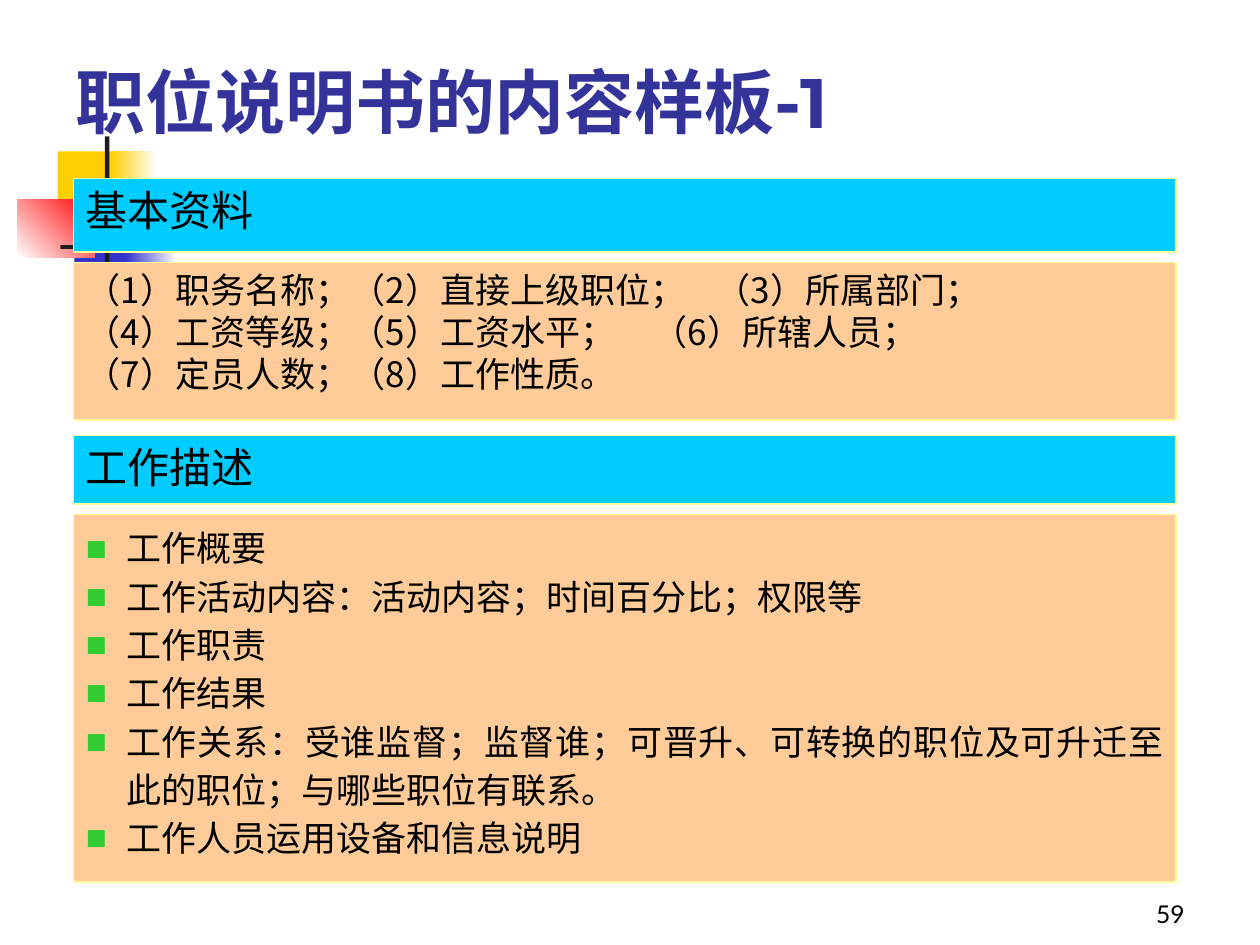
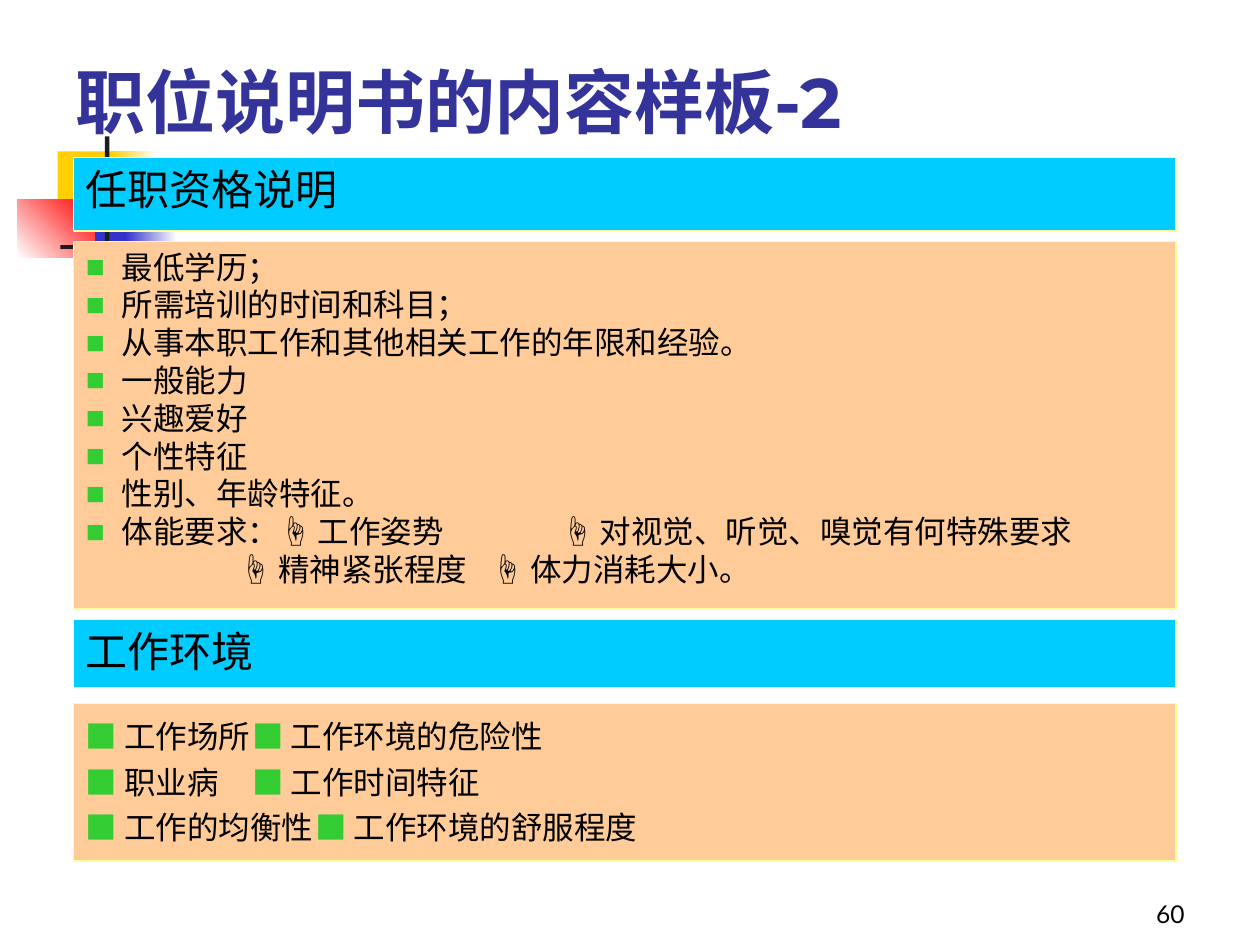
from lxml import etree
from pptx import Presentation
from pptx.dml.color import RGBColor
from pptx.enum import shapes, text
from pptx.oxml.ns import qn
from pptx.util import Pt

CJK, LATIN, TITLE, NUMBER = "Noto Sans CJK SC", "Arial", "Montserrat", "Lato"
BLACK = RGBColor(0x00, 0x00, 0x00)
WHITE = RGBColor(0xFF, 0xFF, 0xFF)
INDIGO = RGBColor(0x33, 0x33, 0x99)
CYAN = RGBColor(0x00, 0xCC, 0xFF)
PEACH = RGBColor(0xFF, 0xCC, 0x99)
PALE_YELLOW = RGBColor(0xFF, 0xFF, 0x99)
GREEN = RGBColor(0x33, 0xCC, 0x33)
GOLD = RGBColor(0xFF, 0xCF, 0x01)
BLUE = RGBColor(0x33, 0x33, 0xCC)
RED = RGBColor(0xFF, 0x00, 0x00)
INK = RGBColor(0x1C, 0x1C, 0x1C)

LEFT, WIDTH = 42, 630
JUSTIFY = text.PP_ALIGN.JUSTIFY

# left, top, width, height, start colour, end colour, gradient angle
ORNAMENT = [
    (33, 86.5, 34.5, 37.5, GOLD, None, 0),
    (63.5, 86.5, 26, 37.5, GOLD, WHITE, 0),
    (42.5, 119.5, 33, 37.5, BLUE, None, 0),
    (72, 119.5, 29, 37.5, BLUE, WHITE, 0),
    (10, 114, 44, 33, WHITE, RED, 45),
    (60, 78, 2.5, 82.5, INK, None, 0),
    (34.5, 140, 648, 2.5, INK, WHITE, 0),
]


def add_rect(s, left, top, width, height):
    sp = s.shapes.add_shape(shapes.MSO_SHAPE.RECTANGLE,
                            Pt(left), Pt(top), Pt(width), Pt(height))
    sp.shadow.inherit = False
    sp.line.fill.background()
    sp.fill.solid()
    tf = sp.text_frame
    tf.word_wrap = True
    tf.vertical_anchor = text.MSO_ANCHOR.TOP
    return sp


def add_paragraph(tf, runs, size, align=text.PP_ALIGN.LEFT, spacing=1.0,
                  margin=0, hanging=0, bullet=False, tabs=()):
    """Append a paragraph; runs are (words, font, colour), lengths in points."""
    p = tf.paragraphs[0] if not tf.paragraphs[0].runs else tf.add_paragraph()
    pPr = p._p.get_or_add_pPr()
    pPr.set("marL", str(Pt(margin)))
    pPr.set("indent", str(-Pt(hanging)))
    if bullet:
        clr = etree.SubElement(pPr, qn("a:buClr"))
        etree.SubElement(clr, qn("a:srgbClr"), val=str(GREEN))
        etree.SubElement(pPr, qn("a:buFont"), typeface=LATIN)
        etree.SubElement(pPr, qn("a:buChar"), char="■")
    else:
        etree.SubElement(pPr, qn("a:buNone"))
    if tabs:
        stops = etree.SubElement(pPr, qn("a:tabLst"))
        for pos in tabs:
            etree.SubElement(stops, qn("a:tab"), pos=str(Pt(pos)), algn="l")
    p.alignment = align
    p.line_spacing = spacing
    for words, font, colour in runs:
        r = p.add_run()
        r.text = words
        r.font.size = Pt(size)
        r.font.name = font
        r.font.color.rgb = colour
        r.font.bold = font == TITLE
        etree.SubElement(r._r.get_or_add_rPr(), qn("a:ea"), typeface=CJK)


prs = Presentation()
prs.slide_width, prs.slide_height = Pt(720), Pt(540)

# Each section: heading, heading top and height, body top and height
PAGES = [
    ("职位说明书的内容样板-1", 59, [("基本资料", 102, 42, 150, 90),
                             ("工作描述", 249, 39, 294, 210)]),
    ("职位说明书的内容样板-2", 60, [("任职资格说明", 90, 42, 138, 210),
                             ("工作环境", 354, 39, 402, 90)]),
]
bodies = {}
for title, number, sections in PAGES:
    s = prs.slides.add_slide(prs.slide_layouts[6])
    for left, top, width, height, start, end, angle in ORNAMENT:
        sp = add_rect(s, left, top, width, height)
        if end is None:
            sp.fill.fore_color.rgb = start
        else:
            sp.fill.gradient()
            sp.fill.gradient_angle = angle
            for stop, colour in zip(sp.fill.gradient_stops, (start, end)):
                stop.color.rgb = colour

    tf = s.shapes.add_textbox(Pt(36), Pt(30), Pt(630), Pt(55.5)).text_frame
    tf.word_wrap = True
    add_paragraph(tf, [(title, TITLE, INDIGO)], 40)

    tf = s.shapes.add_textbox(Pt(534), Pt(498), Pt(150), Pt(36)).text_frame
    tf.word_wrap = True
    tf.vertical_anchor = text.MSO_ANCHOR.BOTTOM
    add_paragraph(tf, [(str(number), NUMBER, BLACK)], 14, text.PP_ALIGN.RIGHT)

    for heading, top, height, body_top, body_height in sections:
        head = add_rect(s, LEFT, top, WIDTH, height)
        body = add_rect(s, LEFT, body_top, WIDTH, body_height)
        for sp, colour in ((head, CYAN), (body, PEACH)):
            sp.fill.fore_color.rgb = colour
            sp.line.color.rgb = PALE_YELLOW
            sp.line.width = Pt(0.75)
        add_paragraph(head.text_frame, [(heading, CJK, BLACK)], 24)
        bodies[heading] = body.text_frame

for line, tabs in [
    ("（1）职务名称；（2）直接上级职位；\t（3）所属部门；", [432]),
    ("（4）工资等级；（5）工资水平；\t（6）所辖人员；", [360]),
    ("（7）定员人数；（8）工作性质。", []),
]:
    add_paragraph(bodies["基本资料"], [(line, CJK, BLACK)], 20, JUSTIFY, tabs=tabs)

for line in [
    "工作概要",
    "工作活动内容：活动内容；时间百分比；权限等",
    "工作职责",
    "工作结果",
    "工作关系：受谁监督；监督谁；可晋升、可转换的职位及可升迁至此的职位；与哪些职位有联系。",
    "工作人员运用设备和信息说明",
]:
    add_paragraph(bodies["工作描述"], [(line, CJK, BLACK)], 20, JUSTIFY, 1.15,
                  margin=23, hanging=23, bullet=True)

qualifications = bodies["任职资格说明"]
for line in ["最低学历；", "所需培训的时间和科目；", "从事本职工作和其他相关工作的年限和经验。",
             "一般能力", "兴趣爱好", "个性特征", "性别、年龄特征。"]:
    add_paragraph(qualifications, [(line, CJK, BLACK)], 18, JUSTIFY,
                  margin=20.5, hanging=20.5, bullet=True)

HAND = ("☝", LATIN, BLACK)
for lead, first, second, margin, hanging in [
    ("体能要求：", "工作姿势", "对视觉、听觉、嗅觉有何特殊要求", 20.5, 20.5),
    ("", "精神紧张程度", "体力消耗大小。", 88, 0),
]:
    runs = [(lead, CJK, BLACK)] if lead else []
    runs += [HAND, (f" {first}\t", CJK, BLACK), HAND, (f" {second}", CJK, BLACK)]
    add_paragraph(qualifications, runs, 18, JUSTIFY, margin=margin,
                  hanging=hanging, bullet=bool(lead), tabs=[292 - margin])

SQUARE = ("■ ", LATIN, GREEN)
for first, second, tab in [
    ("工作场所", "工作环境的危险性", 148),
    ("职业病", "工作时间特征", 148),
    ("工作的均衡性", "工作环境的舒服程度", 220),
]:
    runs = [SQUARE, (f"{first}\t", CJK, BLACK), SQUARE, (second, CJK, BLACK)]
    add_paragraph(bodies["工作环境"], runs, 18, JUSTIFY, 1.2,
                  margin=23, hanging=23, tabs=[tab])

prs.save("out.pptx")
